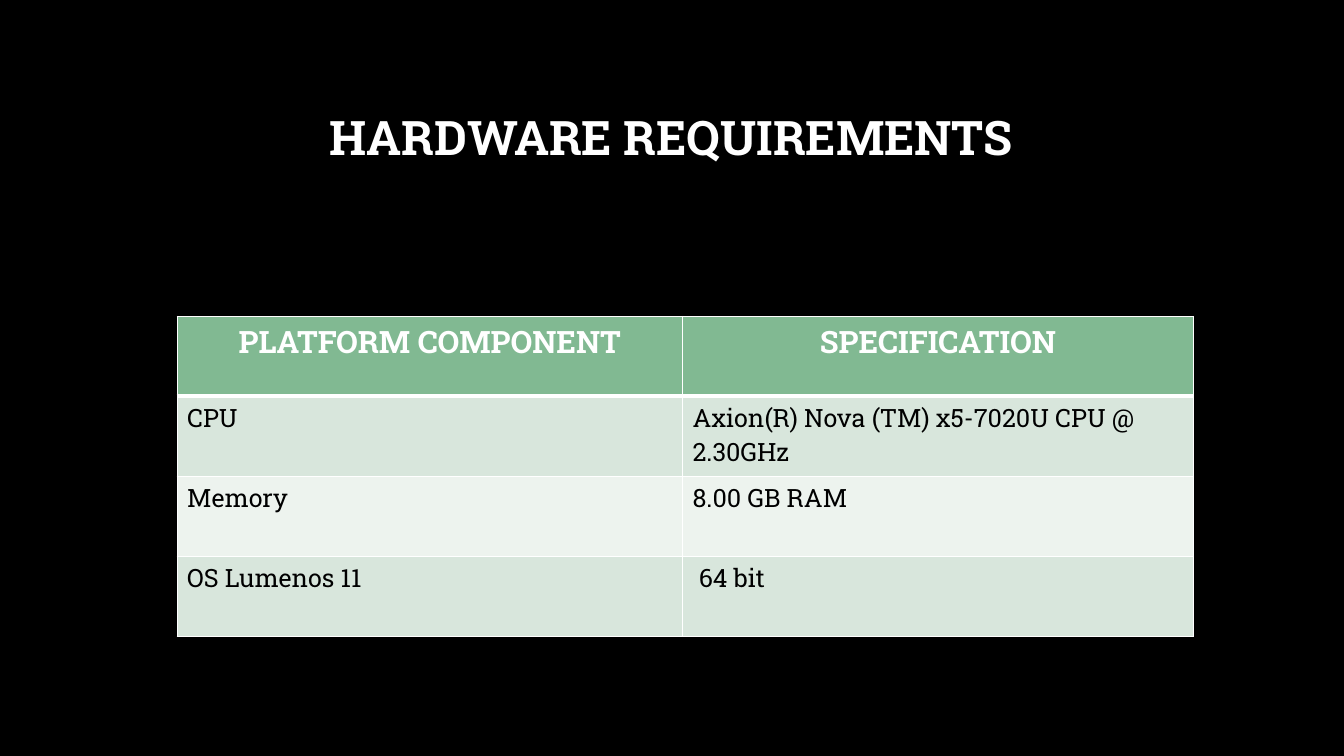
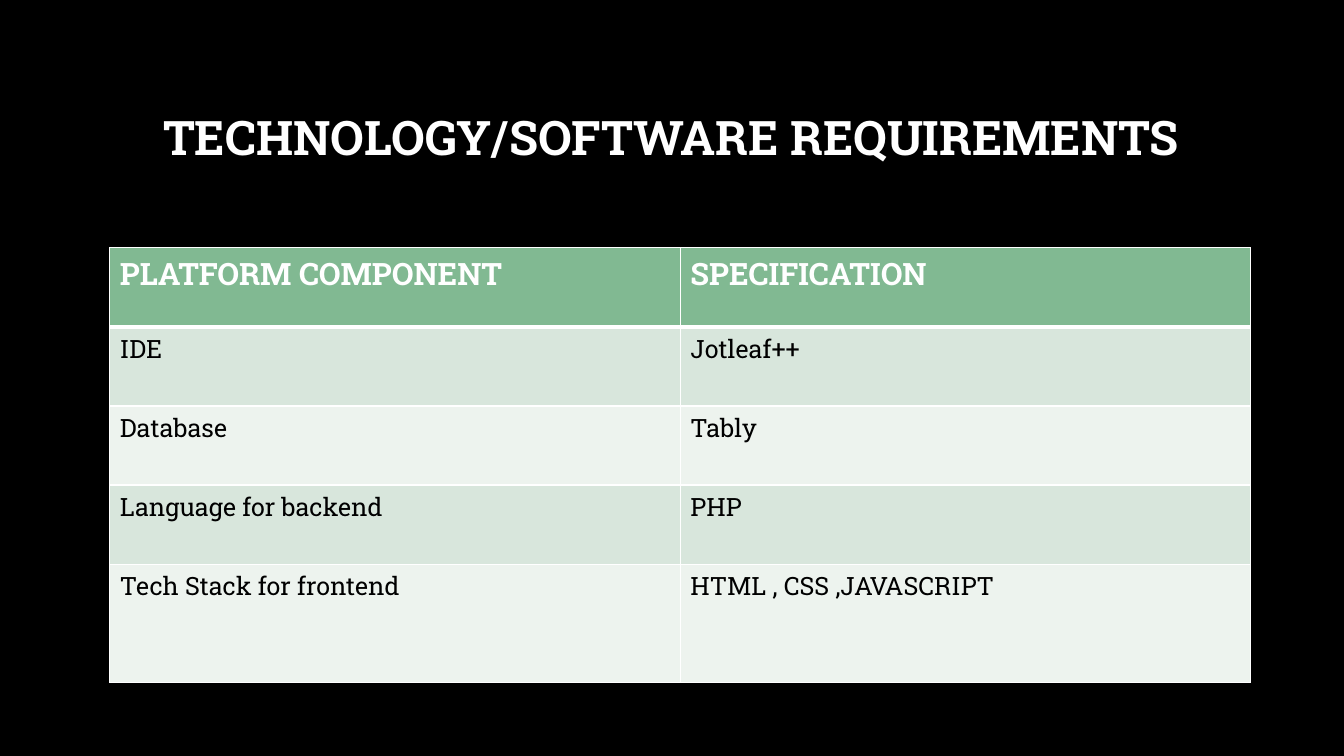
from dataclasses import dataclass

from lxml.etree import SubElement
from pptx import Presentation
from pptx.dml.color import RGBColor
from pptx.enum.text import MSO_ANCHOR as Anchor, MSO_AUTO_SIZE as AutoSize, PP_ALIGN as Align
from pptx.oxml.ns import qn
from pptx.util import Pt

# Content
HEADINGS = ("PLATFORM COMPONENT", "SPECIFICATION")
SLIDES = [
    {
        "title": "HARDWARE REQUIREMENTS",
        "rows": [
            ("CPU", "Axion(R) Nova (TM) x5-7020U CPU @ 2.30GHz"),
            ("Memory", "8.00 GB RAM"),
            ("OS Lumenos 11", " 64 bit"),
        ],
        "corner": (126.5, 226),
        "columns": (361, 365),
        "row_height": 57.1,
        "last_row_scale": 1,
        "heading_align": Align.CENTER,
    },
    {
        "title": "TECHNOLOGY/SOFTWARE REQUIREMENTS",
        "rows": [
            ("IDE", "Jotleaf++"),
            ("Database", "Tably"),
            ("Language for backend", "PHP"),
            ("Tech Stack for frontend", "HTML , CSS ,JAVASCRIPT"),
        ],
        "corner": (78.5, 177),
        "columns": (407.5, 407.5),
        "row_height": 56.5,
        "last_row_scale": 1.5,
        "heading_align": Align.LEFT,
    },
]


@dataclass(frozen=True)
class Theme:
    font: str = "Roboto Slab"
    background: str = "000000"
    light: str = "FFFFFF"
    dark: str = "000000"
    heading_fill: str = "81B992"
    bands: tuple = ("D8E6DC", "EDF3EE")
    title_size: float = 34
    heading_size: float = 22
    body_size: float = 18
    thin: float = 1
    thick: float = 3


THEME = Theme()
SLIDE_SIZE = (960, 540)
TITLE_BOX = (72, 48, 815, 104.5)


def paint(fill, color):
    fill.solid()
    fill.fore_color.rgb = RGBColor.from_string(color)


def write(frame, text, size, color, bold, align):
    para = frame.paragraphs[0]
    para.alignment = align
    span = para.add_run()
    span.text = text
    span.font.name = THEME.font
    span.font.size = Pt(size)
    span.font.bold = bold
    span.font.color.rgb = RGBColor.from_string(color)
    return para


def add_title(page, text):
    box = page.shapes.title
    box.left, box.top, box.width, box.height = map(Pt, TITLE_BOX)
    frame = box.text_frame
    frame.auto_size = AutoSize.NONE
    frame.word_wrap = True
    frame.vertical_anchor = Anchor.MIDDLE
    para = write(frame, text, THEME.title_size, THEME.light, True, Align.CENTER)
    para.line_spacing = 0.9


def set_borders(cell, row):
    # The line under the heading row is thick, seen from both of its sides
    top = THEME.thick if row == 1 else THEME.thin
    bottom = THEME.thick if row == 0 else THEME.thin
    widths = {"a:lnL": THEME.thin, "a:lnR": THEME.thin, "a:lnT": top, "a:lnB": bottom}
    properties = cell._tc.get_or_add_tcPr()
    for tag, width in widths.items():
        line = SubElement(properties, qn(tag), w=str(Pt(width)))
        fill = SubElement(line, qn("a:solidFill"))
        SubElement(fill, qn("a:srgbClr"), val=THEME.light)


def add_requirements(page, content):
    rows = [HEADINGS, *content["rows"]]
    heights = [content["row_height"]] * len(rows)
    heights[-1] *= content["last_row_scale"]
    columns = content["columns"]
    left, top = content["corner"]
    table = page.shapes.add_table(
        len(rows), len(columns), Pt(left), Pt(top), Pt(sum(columns)), Pt(sum(heights))
    ).table
    for column, width in zip(table.columns, columns):
        column.width = Pt(width)
    for r, (texts, height) in enumerate(zip(rows, heights)):
        table.rows[r].height = Pt(height)
        if r == 0:
            color = THEME.heading_fill
            style = (THEME.heading_size, THEME.light, True, content["heading_align"])
        else:
            color = THEME.bands[(r - 1) % 2]
            style = (THEME.body_size, THEME.dark, False, Align.LEFT)
        for c, text in enumerate(texts):
            cell = table.cell(r, c)
            set_borders(cell, r)
            paint(cell.fill, color)
            write(cell.text_frame, text, *style)


def main():
    deck = Presentation()
    deck.slide_width, deck.slide_height = map(Pt, SLIDE_SIZE)
    paint(deck.slide_master.background.fill, THEME.background)
    title_only = deck.slide_layouts.get_by_name("Title Only")
    for content in SLIDES:
        page = deck.slides.add_slide(title_only)
        add_title(page, content["title"])
        add_requirements(page, content)
    deck.save("out.pptx")


if __name__ == "__main__":
    main()
